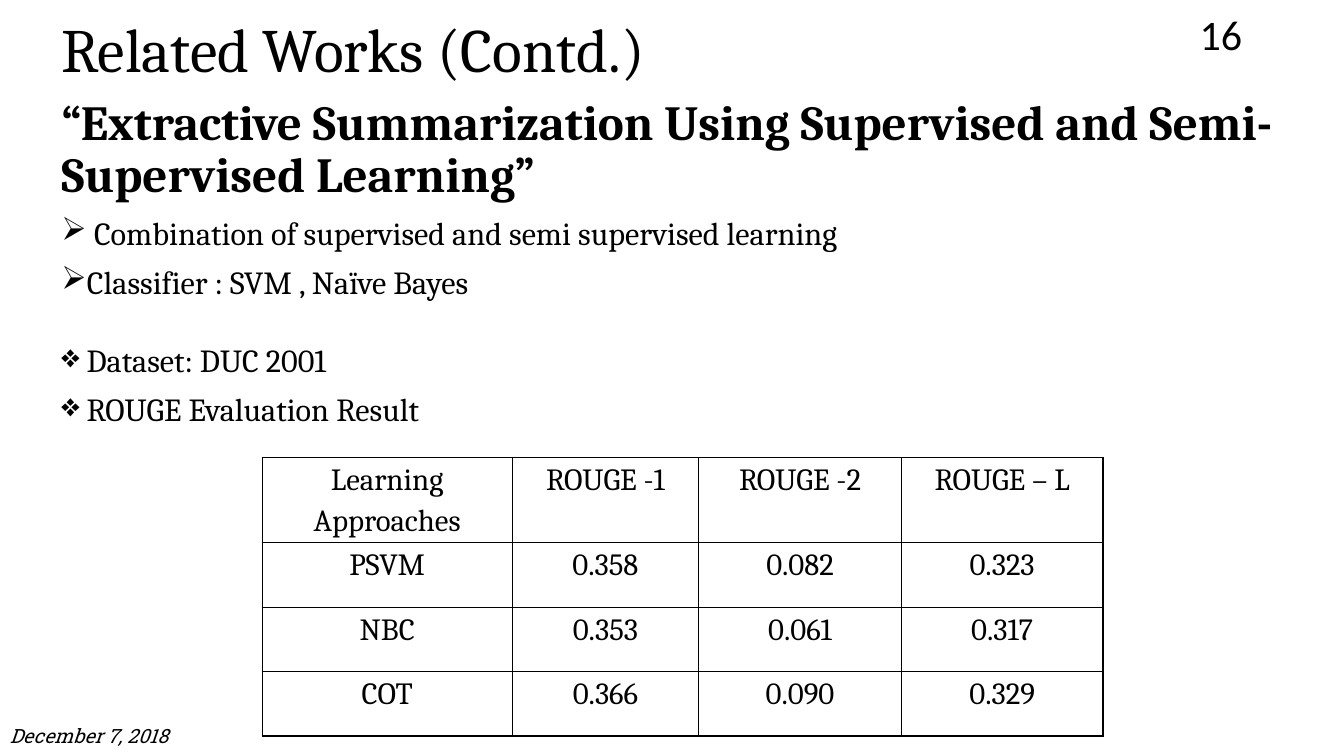
import pptx
import pptx.util
import pptx.dml.color
import pptx.enum.text
import pptx.oxml.ns
import lxml.etree

Inches = pptx.util.Inches
Pt = pptx.util.Pt
Align = pptx.enum.text.PP_ALIGN
Anchor = pptx.enum.text.MSO_ANCHOR
INK = "000000"
ARROW = "\u27a2"
GEM = "\u2756"


def color(code):
    return pptx.dml.color.RGBColor.from_string(code)


def node(parent, tag, **attrs):
    return lxml.etree.SubElement(parent, pptx.oxml.ns.qn(tag), **attrs)


def write(para, text, size=23, font="Cambria", bold=False, italic=False,
          align=Align.LEFT, line=1.0, before=0, bullet=None):
    para.alignment = align
    para.line_spacing = line
    para.space_before = Pt(before)
    if bullet:
        props = para._p.get_or_add_pPr()
        props.set("marL", str(Inches(0.25)))
        props.set("indent", str(Inches(-0.25)))
        node(props, "a:buChar", char=bullet)
    run = para.add_run()
    run.text = text
    run.font.size = Pt(size)
    run.font.name = font
    run.font.bold = bold
    run.font.italic = italic
    run.font.color.rgb = color(INK)


def frame(slide, box, anchor=Anchor.MIDDLE):
    text = slide.shapes.add_textbox(*map(Inches, box)).text_frame
    text.word_wrap = True
    text.vertical_anchor = anchor
    return text


def label(slide, box, text, **style):
    write(frame(slide, box).paragraphs[0], text, **style)


def body(slide, box, head, points):
    text = frame(slide, box, Anchor.TOP)
    write(text.paragraphs[0], head, size=35, bold=True, line=0.9, before=10)
    for bullet, before, point in points:
        write(text.add_paragraph(), point, line=0.9, before=before, bullet=bullet)


def border(cell):
    props = cell._tc.get_or_add_tcPr()
    for index, side in enumerate(("lnL", "lnR", "lnT", "lnB")):
        edge = node(props, "a:" + side, w=str(Pt(1)))
        node(node(edge, "a:solidFill"), "a:srgbClr", val=INK)
        props.insert(index, edge)


def scores(slide, box, rows, widths, heights):
    grid = slide.shapes.add_table(len(rows), len(widths), *map(Inches, box)).table
    grid.first_row = grid.horz_banding = False
    for col, width in zip(grid.columns, widths):
        col.width = Inches(width)
    for row, height, values in zip(grid.rows, heights, rows):
        row.height = Inches(height)
        for cell, value in zip(row.cells, values):
            cell.fill.background()
            cell.margin_left = cell.margin_right = Inches(0.07)
            cell.margin_top = cell.margin_bottom = 0
            border(cell)
            write(cell.text_frame.paragraphs[0], value, size=22,
                  align=Align.CENTER, line=1.15)


deck = pptx.Presentation()
deck.slide_width = Inches(13.33)
deck.slide_height = Inches(7.5)
slide = deck.slides.add_slide(deck.slide_layouts[6])

label(slide, (0.51, 0.22, 11.5, 0.61), "Related Works (Contd.)", size=44, line=0.9)
body(slide, (0.51, 0.92, 12.59, 6.44),
     "“Extractive Summarization Using Supervised and Semi-Supervised Learning”", [
         (ARROW, 10, " Combination of supervised and semi supervised learning"),
         (ARROW, 10, "Classifier : SVM , Naïve Bayes"),
         (GEM, 31, "Dataset: DUC 2001"),
         (GEM, 10, "ROUGE Evaluation Result"),
     ])
scores(slide, (2.6, 4.54, 8.34, 2.62), [
    ("Learning Approaches", "ROUGE -1", "ROUGE -2", "ROUGE – L"),
    ("PSVM", "0.358", "0.082", "0.323"),
    ("NBC", "0.353", "0.061", "0.317"),
    ("COT", "0.366", "0.090", "0.329"),
], (2.48, 1.85, 2.01, 2), (0.7, 0.64, 0.64, 0.64))
label(slide, (0, 7.1, 3, 0.4), "December 7, 2018", size=14,
      font="Roboto Slab", italic=True)
label(slide, (9.42, 0.13, 3, 0.4), "16", size=30, font="Calibri", align=Align.RIGHT)

deck.save("out.pptx")
